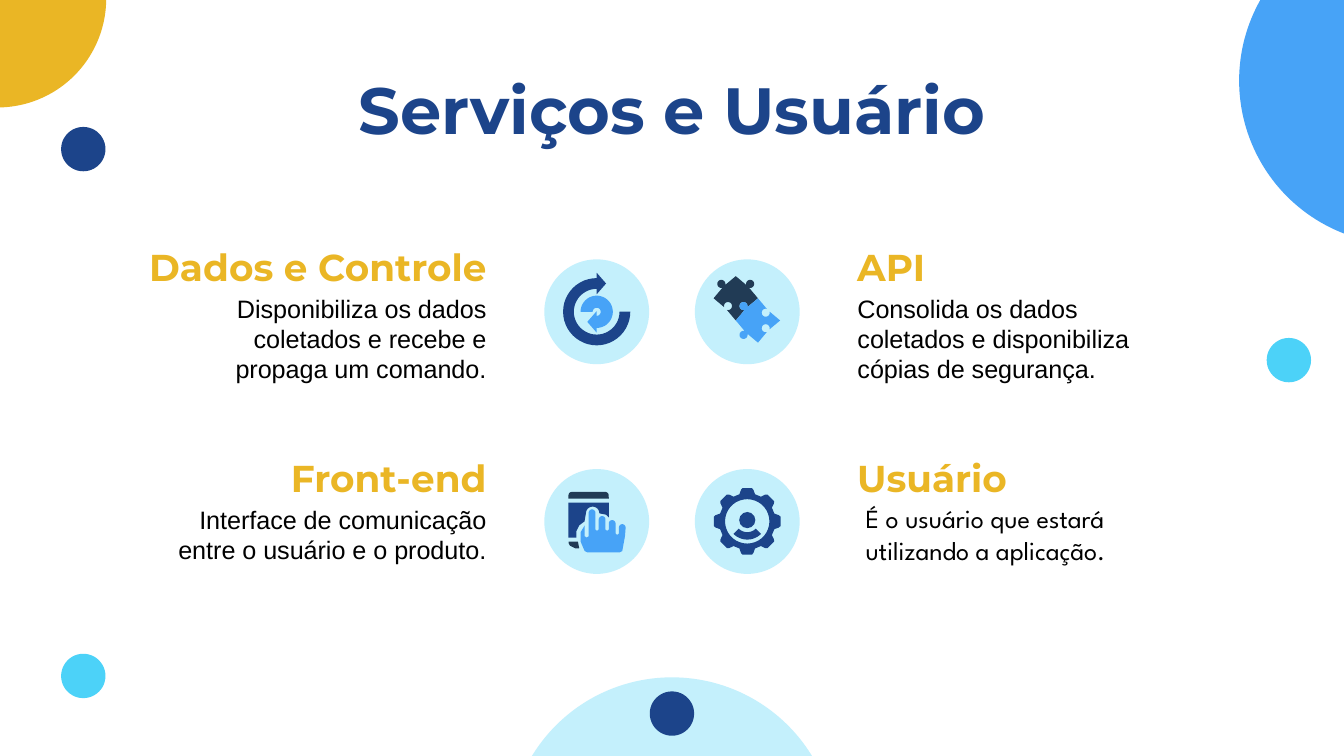
import math

from lxml import etree
from pptx import Presentation
from pptx.dml.color import RGBColor
from pptx.enum import shapes, text
from pptx.oxml import ns
from pptx.util import Inches, Pt

COLORS = {"navy": "1C448A", "blue": "47A3F7", "cyan": "4CD2F8",
          "gold": "EAB625", "slate": "213B55", "black": "000000"}
SHAPE = shapes.MSO_SHAPE
LEFT, CENTER, RIGHT = text.PP_ALIGN.LEFT, text.PP_ALIGN.CENTER, text.PP_ALIGN.RIGHT


def paint(shape, color, alpha=None):
    shape.shadow.inherit = False
    shape.line.fill.background()
    shape.fill.solid()
    shape.fill.fore_color.rgb = RGBColor.from_string(COLORS[color])
    if alpha:
        tint = shape.fill._xPr.find(".//" + ns.qn("a:srgbClr"))
        etree.SubElement(tint, ns.qn("a:alpha"), val=str(alpha * 1000))
    return shape


def preset(page, kind, box, color, alpha=None):
    shape = page.shapes.add_shape(kind, *map(Inches, box))
    return paint(shape, color, alpha)


def disc(page, center, radius, color, alpha=None):
    x, y = center
    box = (x - radius, y - radius, 2 * radius, 2 * radius)
    return preset(page, SHAPE.OVAL, box, color, alpha)


def outline(page, center, contours, color):
    """Draw closed contours whose points are offsets from center."""
    placed = [[(Inches(center[0] + x), Inches(center[1] + y)) for x, y in points]
              for points in contours]
    builder = page.shapes.build_freeform(*placed[0][0])
    for number, points in enumerate(placed):
        if number:
            builder.move_to(*points[0])
        builder.add_line_segments(points[1:], close=True)
    paint(builder.convert_to_shape(), color)


def polar(radius, degrees):
    angle = math.radians(degrees)
    return radius * math.cos(angle), radius * math.sin(angle)


def arc(radius, start, end, steps=36):
    return [polar(radius, start + (end - start) * i / steps) for i in range(steps + 1)]


def write(shape, words, size, font, color, align, bold=False):
    frame = shape.text_frame
    frame.text = words
    frame.word_wrap = True
    frame.auto_size = text.MSO_AUTO_SIZE.NONE
    frame.vertical_anchor = text.MSO_ANCHOR.MIDDLE
    frame.margin_left = frame.margin_right = Inches(0.1)
    frame.margin_top = frame.margin_bottom = Inches(0.1)
    para = frame.paragraphs[0]
    props = para._p.get_or_add_pPr()
    props.set("marL", "0")
    props.set("indent", "0")
    etree.SubElement(props, ns.qn("a:buNone"))
    para.alignment = align
    para.space_before = Pt(0)
    para.line_spacing = 1.0
    span = para.runs[0].font
    span.size, span.name, span.bold = Pt(size), font, bold
    span.color.rgb = RGBColor.from_string(COLORS[color])


def move(shape, box):
    shape.left, shape.top, shape.width, shape.height = map(Inches, box)


def curved_arrow(page, center, outer, inner, start, end, color):
    middle = (outer + inner) / 2
    x, y = polar(middle, end)
    dx, dy = polar(0.07, end + 90)
    head = [polar(middle + 0.08, end), (x + dx, y + dy), polar(middle - 0.08, end)]
    points = arc(outer, start, end) + head + arc(inner, end, start)
    outline(page, center, [points], color)


def refresh_icon(page, center):
    curved_arrow(page, center, 0.25, 0.17, 0, 270, "navy")
    curved_arrow(page, center, 0.12, 0.03, 180, 450, "blue")


def puzzle_piece(page, center, knobs, color):
    """Diamond whose sides, clockwise from upper right, carry a knob (1) or socket (-1)."""
    corners = [polar(0.165, angle) for angle in (-90, 0, 90, 180)]
    points = []
    for i, knob in enumerate(knobs):
        (ax, ay), (bx, by) = corners[i], corners[(i + 1) % 4]
        length = math.hypot(bx - ax, by - ay)
        ux, uy = (bx - ax) / length, (by - ay) / length
        points.append((ax, ay))
        for rise, along in arc(0.03, -150, 150, 20):
            out = knob * (0.035 + rise)
            points.append(((ax + bx) / 2 + ux * along + uy * out,
                           (ay + by) / 2 + uy * along - ux * out))
    outline(page, center, [points], color)


def puzzle_icon(page, center):
    x, y = center
    puzzle_piece(page, (x - 0.085, y - 0.1), (1, -1, -1, 1), "slate")
    puzzle_piece(page, (x + 0.08, y + 0.065), (-1, -1, 1, 1), "blue")


def touch_icon(page, center):
    x, y = center
    top = preset(page, SHAPE.ROUND_2_SAME_RECTANGLE,
                 (x - 0.21, y - 0.22, 0.3, 0.05), "slate")
    top.adjustments[0] = 0.5
    outline(page, center, [[(-0.21, 0.15), (-0.14, 0.15), (-0.13, 0.2), (-0.16, 0.2),
                            (-0.2, 0.18), (-0.21, 0.16)]], "slate")
    screen = [(-0.21, -0.14), (0.09, -0.14), (0.09, -0.03), (0.07, -0.05), (0.02, -0.06)]
    screen += [(-0.03 + dx, -0.06 + dy) for dx, dy in arc(0.05, 0, -180, 12)]
    screen += [(-0.09, 0), (-0.13, 0.03), (-0.15, 0.07), (-0.15, 0.12), (-0.21, 0.12)]
    outline(page, center, [screen], "navy")

    hand = [(-0.07, 0.23), (-0.09, 0.22), (-0.12, 0.15), (-0.12, 0.08), (-0.09, 0.03),
            (-0.09, 0.11), (-0.075, 0.12), (-0.06, 0.11)]
    fingers = [(-0.035, -0.09, 0.07), (0.04, -0.04, 0.07),
               (0.115, -0.01, 0.1), (0.19, 0.02, 0.11)]
    for middle, tip, gap in fingers:
        hand += [(middle + dx, tip + 0.025 + dy) for dx, dy in arc(0.025, -180, 0, 10)]
        if middle < 0.19:
            hand += [(middle + 0.025, gap - 0.01), (middle + 0.037, gap),
                     (middle + 0.05, gap - 0.01)]
    hand += [(0.21, 0.11), (0.19, 0.22), (0.17, 0.23)]
    outline(page, center, [hand], "blue")


def user_gear_icon(page, center):
    gear = []
    for middle in range(0, 360, 45):
        gear += [polar(radius, middle + turn) for radius, turn in
                 ((0.21, -16), (0.24, -11), (0.25, -8), (0.25, 8), (0.24, 11), (0.21, 16))]
    outline(page, center, [gear, arc(0.165, 360, 0)], "navy")
    x, y = center
    disc(page, (x, y - 0.01), 0.06, "navy")
    outline(page, (x, y - 0.01), [arc(0.145, 45, 135) + arc(0.09, 135, 45)], "navy")


def decorations(page):
    disc(page, (5, 6.26), 1.22, "cyan", 33)
    corner = preset(page, SHAPE.PIE, (-0.83, -0.82, 1.62, 1.62), "gold")
    corner.adjustments[0], corner.adjustments[1] = 0, 54
    disc(page, (10.44, 0.6), 1.22, "blue")
    for center, color in (((0.62, 1.11), "navy"), ((9.59, 2.68), "cyan"),
                          ((5, 5.31), "navy"), ((0.62, 5.03), "cyan")):
        disc(page, center, 0.165, color)


def service(page, body, box, align, heading, words, font="Arial", size=13.5, shift=0):
    """Place a heading above its description; box is the area of both."""
    left, top, width, height = box
    heading_box = page.shapes.add_textbox(*map(Inches, (left, top, width, 0.4)))
    write(heading_box, heading, 20, "Montserrat", "gold", align, bold=True)
    body_left = left + (width - 2.6 if align == RIGHT else shift)
    move(body, (body_left, top + 0.4, 2.6, height - 0.4))
    write(body, words, size, font, "black", align)


def main():
    deck = Presentation()
    deck.slide_width = Inches(10)
    deck.slide_height = deck.slide_width * 9 // 16
    page = deck.slides.add_slide(deck.slide_layouts.get_by_name("Comparison"))
    title, *bodies = page.placeholders
    decorations(page)
    move(title, (0, 0.49, 10, 0.63))
    write(title, "Serviços e Usuário", 35, "Montserrat", "navy", CENTER, bold=True)

    service(page, bodies[0], (0.84, 1.78, 2.88, 1.08), RIGHT, "Dados e Controle",
            "Disponibiliza os dados coletados e recebe e propaga um comando.")
    service(page, bodies[1], (6.28, 1.78, 2.6, 1.08), LEFT, "API",
            "Consolida os dados coletados e disponibiliza cópias de segurança.")
    service(page, bodies[2], (1.12, 3.35, 2.6, 0.85), RIGHT, "Front-end",
            "Interface de comunicação entre o usuário e o produto.")
    service(page, bodies[3], (6.28, 3.35, 2.6, 0.85), LEFT, "Usuário",
            "É o usuário que estará utilizando a aplicação.",
            font="League Spartan", size=14, shift=0.06)

    icons = ((refresh_icon, 4.44, 2.32), (puzzle_icon, 5.56, 2.32),
             (touch_icon, 4.44, 3.88), (user_gear_icon, 5.56, 3.88))
    for draw, x, y in icons:
        disc(page, (x, y), 0.39, "cyan", 33)
        draw(page, (x, y))
    deck.save("out.pptx")


if __name__ == "__main__":
    main()
